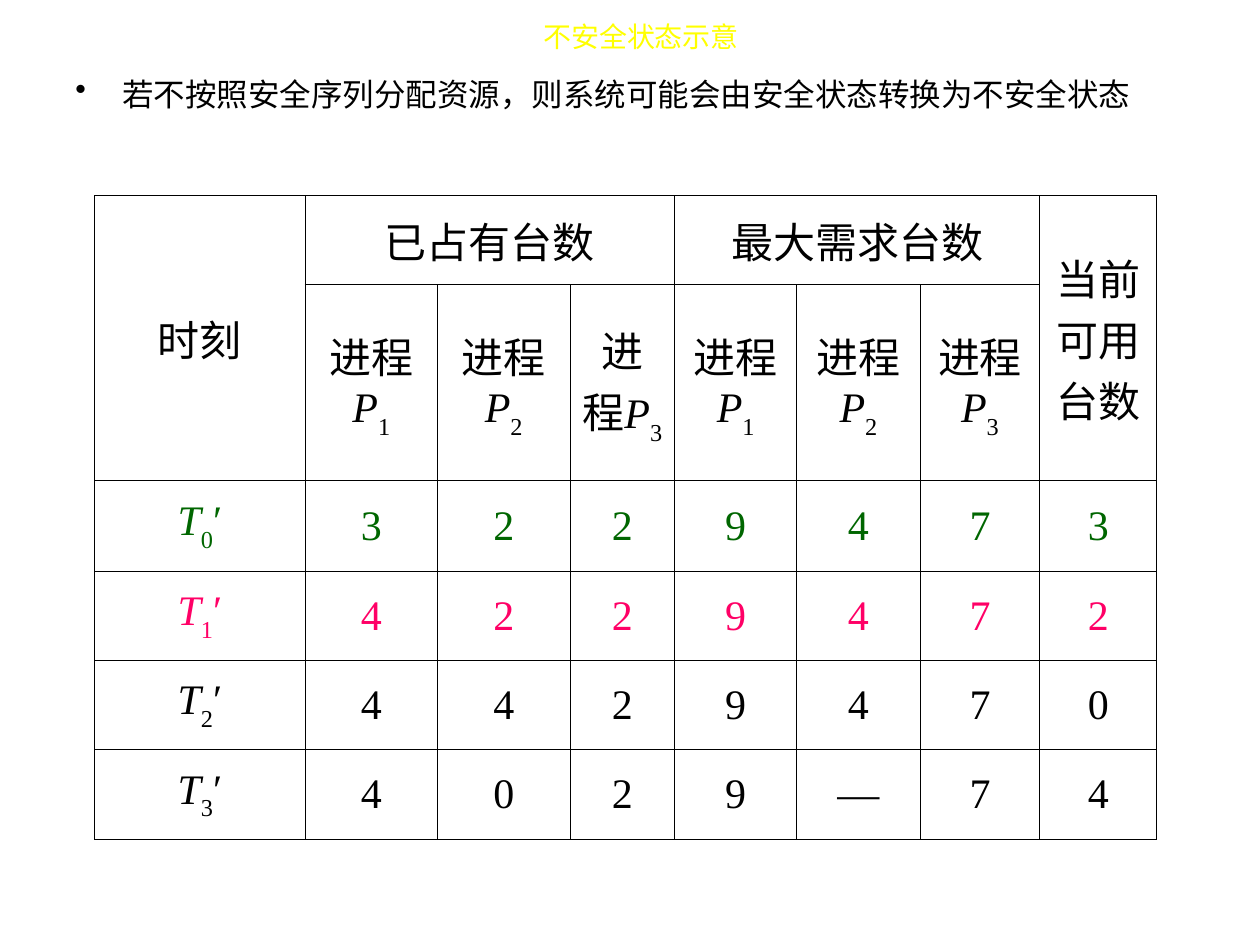
from pptx import Presentation
from pptx.dml.color import RGBColor
from pptx.enum.text import MSO_ANCHOR, PP_ALIGN
from pptx.oxml import parse_xml
from pptx.oxml.ns import nsdecls, qn
from pptx.util import Cm, Pt

COLORS = {"text": "000000", "title": "FFFF00", "start": "006600", "step": "FF0066"}
LATIN, CJK, TITLE_FONT = "Times New Roman", "Noto Sans CJK SC", "Arial"

COL_WIDTHS = [4.24, 2.67, 2.67, 2.11, 2.46, 2.49, 2.41, 2.36]
ROW_HEIGHTS = [1.8, 3.48, 1.83, 1.8, 1.8, 1.8]
# Top-left cell, bottom-right cell and label of each merged heading
HEADINGS = [
    ((0, 0), (1, 0), "时刻"),
    ((0, 1), (0, 3), "已占有台数"),
    ((0, 4), (0, 6), "最大需求台数"),
    ((0, 7), (1, 7), "当前可用台数"),
]
STATES = [
    ("start", "3229473"),
    ("step", "4229472"),
    ("text", "4429470"),
    ("text", "4029—74"),
]


def add_run(p, text, size, color, font=LATIN, italic=False, subscript=False):
    r = p.add_run()
    r.text = text
    r.font.size = Pt(size)
    r.font.name = font
    r.font.italic = italic
    r.font.color.rgb = RGBColor.from_string(COLORS[color])
    rPr = r.font._element
    rPr.find(qn("a:latin")).addnext(
        parse_xml(f'<a:ea {nsdecls("a")} typeface="{CJK}"/>'))
    if subscript:
        rPr.set("baseline", "-30000")


def set_margins(obj):
    obj.margin_left = obj.margin_right = Cm(0.25)
    obj.margin_top = obj.margin_bottom = Cm(0.13)


def place_title(s, left, top, width, height):
    sp = s.shapes.title
    sp.left, sp.top, sp.width, sp.height = left, top, width, height
    tf = sp.text_frame
    set_margins(tf)
    tf.margin_left = Cm(0.7)  # nudges the centred title to the right
    tf.vertical_anchor = MSO_ANCHOR.MIDDLE
    p = tf.paragraphs[0]
    p.alignment = PP_ALIGN.CENTER
    add_run(p, "不安全状态示意", 16, "title", TITLE_FONT)


def add_body(s, left, top, width, height):
    tf = s.shapes.add_textbox(left, top, width, height).text_frame
    tf.word_wrap = True
    set_margins(tf)
    p = tf.paragraphs[0]
    p.line_spacing = 0.8
    pPr = p._p.get_or_add_pPr()
    pPr.set("marL", str(Cm(0.95)))
    pPr.set("indent", str(-Cm(0.95)))
    pPr.append(parse_xml(
        f'<a:buClr {nsdecls("a")}><a:srgbClr val="{COLORS["text"]}"/></a:buClr>'))
    pPr.append(parse_xml(f'<a:buChar {nsdecls("a")} char="•"/>'))
    add_run(p, "若不按照安全序列分配资源，则系统可能会由安全状态转换为不安全状态",
            18, "text", CJK)


def format_cell(cell):
    set_margins(cell)
    cell.vertical_anchor = MSO_ANCHOR.MIDDLE
    cell.text_frame.paragraphs[0].alignment = PP_ALIGN.CENTER
    tcPr = cell._tc.get_or_add_tcPr()
    for side in ("lnL", "lnR", "lnT", "lnB"):
        tcPr.append(parse_xml(
            f'<a:{side} {nsdecls("a")} w="{Pt(0.45)}"><a:solidFill>'
            f'<a:srgbClr val="{COLORS["text"]}"/></a:solidFill></a:{side}>'))
    cell.fill.background()


def add_state_table(s, left, top, width, height):
    table = s.shapes.add_table(
        len(ROW_HEIGHTS), len(COL_WIDTHS), left, top, width, height).table
    table.first_row = table.horz_banding = False
    for col, w in zip(table.columns, COL_WIDTHS):
        col.width = Cm(w)
    for row, h in zip(table.rows, ROW_HEIGHTS):
        row.height = Cm(h)
    for cell in table.iter_cells():
        format_cell(cell)

    def write(row, col, text, color="text", **style):
        p = table.cell(row, col).text_frame.paragraphs[0]
        add_run(p, text, 24, color, **style)

    # Merged headings
    for first, last, label in HEADINGS:
        table.cell(*first).merge(table.cell(*last))
        write(*first, label)

    # Process headings, P1 to P3 in both groups
    for col in range(1, 7):
        write(1, col, "进程")
        write(1, col, "P", italic=True)
        write(1, col, str((col - 1) % 3 + 1), subscript=True)

    # One row for each moment
    for i, (color, values) in enumerate(STATES):
        row = i + 2
        write(row, 0, "T", color, italic=True)
        write(row, 0, str(i), color, subscript=True)
        write(row, 0, "′", color)
        for col, value in enumerate(values, start=1):
            write(row, col, value, color)


def main():
    prs = Presentation()
    prs.slide_width, prs.slide_height = Cm(25.4), Cm(19.05)
    s = prs.slides.add_slide(prs.slide_layouts[5])
    place_title(s, Cm(1.27), Cm(0.33), Cm(22.86), Cm(0.81))
    add_state_table(s, Cm(1.91), Cm(3.94), Cm(sum(COL_WIDTHS)), Cm(sum(ROW_HEIGHTS)))
    add_body(s, Cm(1.27), Cm(1.52), Cm(22.86), Cm(2))
    prs.save("out.pptx")


if __name__ == "__main__":
    main()
